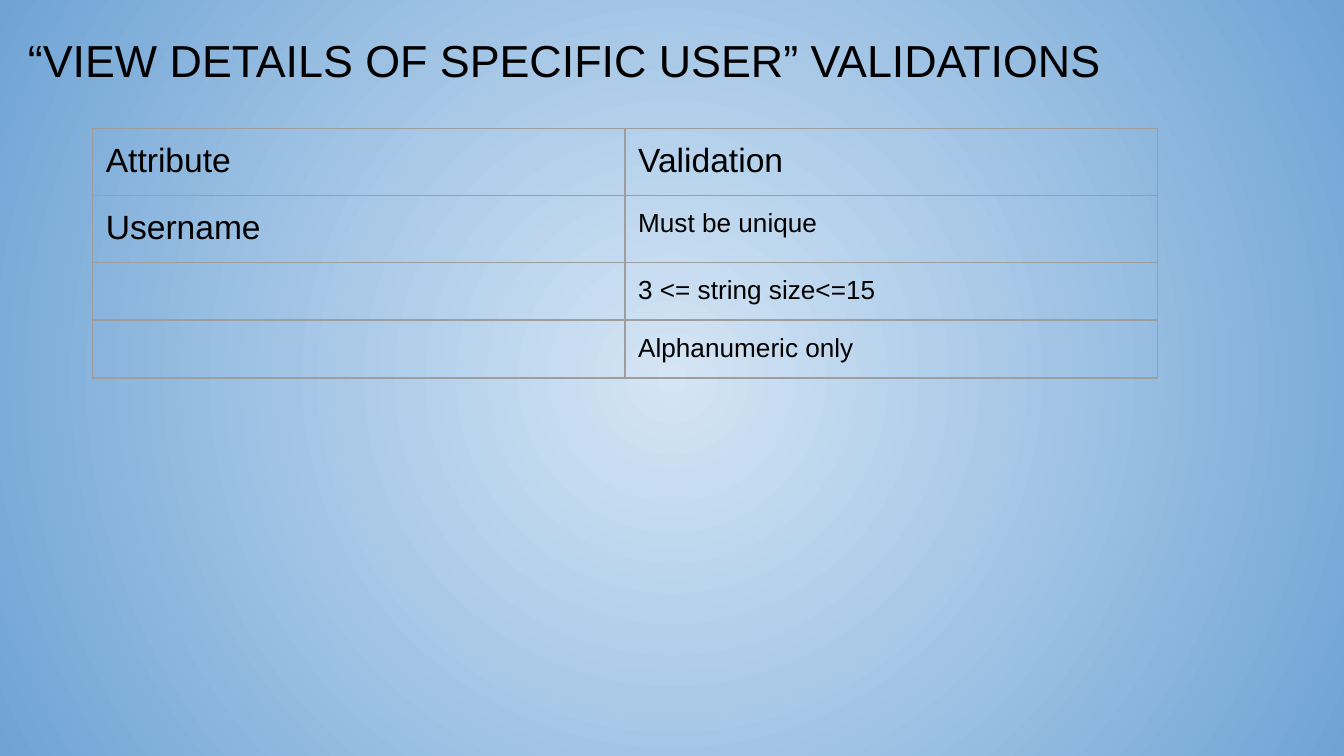
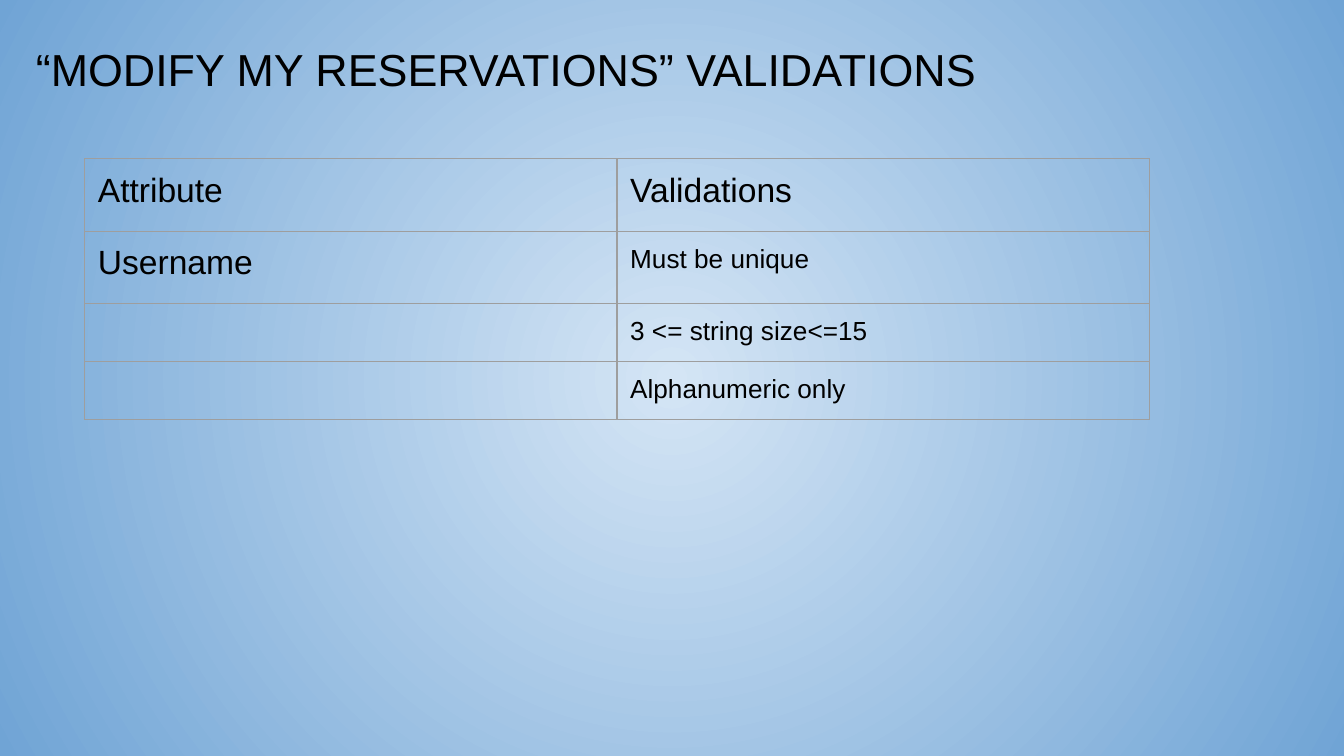
from lxml import etree
from pptx import Presentation
from pptx import util as u
from pptx.dml.color import RGBColor
from pptx.enum import text
from pptx.oxml import ns, parse_xml

FONT = "Arial"
BLACK = RGBColor(0x00, 0x00, 0x00)
GRID_GREY = RGBColor(0x9E, 0x9E, 0x9E)
PALE_BLUE = RGBColor(0xD4, 0xE5, 0xF5)
DEEP_BLUE = RGBColor(0x70, 0xA4, 0xD5)

TITLE_SIZE, LABEL_SIZE, RULE_SIZE = 24, 18, 14
INSET = u.Cm(0.25)
COLUMN_WIDTH = u.Cm(10.06)
LOW_ROW, TALL_ROW = 1.07, 1.37

USERNAME_RULES = ["Must be unique", "3 <= string size<=15", "Alphanumeric only"]


class ValidationDeck:
    def __init__(self):
        self.deck = Presentation()
        self.deck.slide_width = u.Cm(25.4)
        self.deck.slide_height = u.Cm(14.29)
        self.page = None

    def add_page(self):
        self.page = self.deck.slides.add_slide(self.deck.slide_layouts[6])
        fill = self.page.background.fill
        fill.gradient()
        for stop, colour in zip(fill.gradient_stops, (PALE_BLUE, DEEP_BLUE)):
            stop.color.rgb = colour
        linear = next(self.page.element.iter(ns.qn("a:lin")))
        radial = parse_xml(
            f'<a:path {ns.nsdecls("a")} path="circle">'
            '<a:fillToRect l="50000" t="50000" r="50000" b="50000"/></a:path>')
        linear.getparent().replace(linear, radial)

    def add_span(self, para, words, size):
        span = para.add_run()
        span.text = words
        span.font.name = FONT
        span.font.size = u.Pt(size)
        span.font.color.rgb = BLACK

    def add_title(self, words, left, top, height):
        box = self.page.shapes.add_textbox(
            u.Cm(left), u.Cm(top), u.Cm(24.47), u.Cm(height))
        frame = box.text_frame
        frame.word_wrap = True
        frame.vertical_anchor = text.MSO_ANCHOR.TOP
        frame.margin_left = frame.margin_right = INSET
        frame.margin_top = frame.margin_bottom = INSET
        self.add_span(frame.paragraphs[0], words, TITLE_SIZE)

    def add_borders(self, cell):
        properties = cell._tc.get_or_add_tcPr()
        for side in ("lnL", "lnR", "lnT", "lnB"):
            properties.append(parse_xml(
                f'<a:{side} {ns.nsdecls("a")} w="{u.Pt(0.75)}"><a:solidFill>'
                f'<a:srgbClr val="{GRID_GREY}"/></a:solidFill></a:{side}>'))

    def fill_cell(self, cell, words, size):
        cell.margin_left = cell.margin_right = INSET
        cell.margin_top = cell.margin_bottom = INSET
        self.add_borders(cell)
        cell.fill.background()
        para = cell.text_frame.paragraphs[0]
        if words:
            self.add_span(para, words, size)
        else:
            # An empty cell needs a small end mark so that its row stays low.
            etree.SubElement(para._p, ns.qn("a:endParaRPr"), sz=str(size * 100))

    def add_rules_table(self, heading, left, top, row_heights):
        rows = [("Attribute", heading)]
        rows += zip(["Username", "", ""], USERNAME_RULES)
        table = self.page.shapes.add_table(
            len(rows), 2, u.Cm(left), u.Cm(top), 2 * COLUMN_WIDTH,
            u.Cm(sum(row_heights))).table
        table.first_row = table.horz_banding = False
        for column in table.columns:
            column.width = COLUMN_WIDTH
        for index, (label, rule) in enumerate(rows):
            table.rows[index].height = u.Cm(row_heights[index])
            self.fill_cell(table.cell(index, 0), label,
                           LABEL_SIZE if label else RULE_SIZE)
            self.fill_cell(table.cell(index, 1), rule,
                           RULE_SIZE if index else LABEL_SIZE)


def main():
    show = ValidationDeck()

    show.add_page()
    show.add_title("“VIEW DETAILS OF SPECIFIC USER” VALIDATIONS", 0.28, 0.36, 1.47)
    show.add_rules_table("Validation", 1.75, 2.43, [LOW_ROW] * 4)

    show.add_page()
    show.add_title("“MODIFY MY RESERVATIONS” VALIDATIONS", 0.43, 0.53, 1.93)
    show.add_rules_table("Validations", 1.6, 3, [TALL_ROW] * 2 + [LOW_ROW] * 2)

    show.deck.save("out.pptx")


if __name__ == "__main__":
    main()
